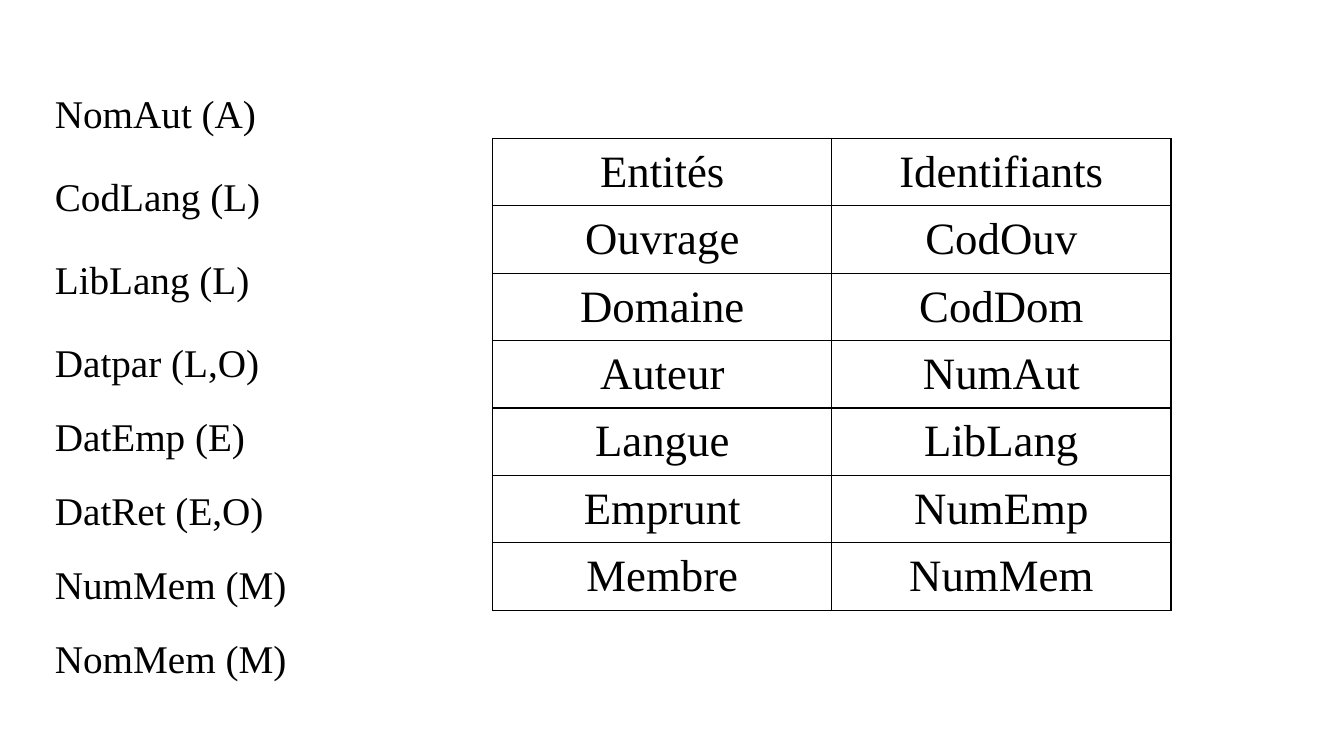
from lxml.etree import SubElement
from pptx import Presentation
from pptx.dml.color import RGBColor
from pptx.enum.text import MSO_ANCHOR, MSO_AUTO_SIZE, PP_ALIGN
from pptx.oxml.ns import qn
from pptx.util import Pt

ATTRIBUTES = [
    ("NomAut (A)", 1.77), ("CodLang (L)", 1.77),
    ("LibLang (L)", 1.77), ("Datpar (L,O)", 1.77),
    ("DatEmp (E)", 1.57), ("DatRet (E,O)", 1.57),
    ("NumMem (M)", 1.57), ("NomMem (M)", 1.57),
]
ENTITIES = [
    ("Entités", "Identifiants"),
    ("Ouvrage", "CodOuv"),
    ("Domaine", "CodDom"),
    ("Auteur", "NumAut"),
    ("Langue", "LibLang"),
    ("Emprunt", "NumEmp"),
    ("Membre", "NumMem"),
]


def color(value):
    return RGBColor.from_string(value)


class Page:
    font = "Times New Roman"
    ink = "000000"

    def __init__(self, deck):
        self.slide = deck.slides.add_slide(deck.slide_layouts[1])
        title = self.slide.shapes.title
        title.element.getparent().remove(title.element)

    def add_span(self, para, text, size):
        span = para.add_run()
        span.text = text
        span.font.name = self.font
        span.font.size = Pt(size)
        span.font.color.rgb = color(self.ink)

    def add_list(self, items, left, top, width, height, size):
        box = self.slide.placeholders[1]
        box.left, box.top = Pt(left), Pt(top)
        box.width, box.height = Pt(width), Pt(height)
        frame = box.text_frame
        frame.word_wrap = True
        frame.auto_size = MSO_AUTO_SIZE.NONE
        frame.vertical_anchor = MSO_ANCHOR.TOP
        for index, (text, spacing) in enumerate(items):
            para = frame.add_paragraph() if index else frame.paragraphs[0]
            properties = para._p.get_or_add_pPr()
            properties.set("marL", "0")
            properties.set("indent", "0")
            SubElement(properties, qn("a:buNone"))
            para.alignment = PP_ALIGN.LEFT
            para.space_before = para.space_after = Pt(0)
            para.line_spacing = spacing
            self.add_span(para, text, size)

    def add_borders(self, cell, width):
        properties = cell._tc.get_or_add_tcPr()
        for position, side in enumerate(("lnL", "lnR", "lnT", "lnB")):
            line = properties.makeelement(qn(f"a:{side}"), {"w": str(Pt(width))})
            fill = SubElement(line, qn("a:solidFill"))
            SubElement(fill, qn("a:srgbClr"), val=self.ink)
            properties.insert(position, line)

    def add_grid(self, rows, left, top, width, height, size):
        shape = self.slide.shapes.add_table(
            len(rows), len(rows[0]), Pt(left), Pt(top), Pt(width), Pt(height))
        table = shape.table
        table.first_row = table.horz_banding = False
        for row, texts in enumerate(rows):
            for column, text in enumerate(texts):
                cell = table.cell(row, column)
                cell.fill.background()
                cell.vertical_anchor = MSO_ANCHOR.MIDDLE
                para = cell.text_frame.paragraphs[0]
                para.alignment = PP_ALIGN.CENTER
                self.add_span(para, text, size)
                self.add_borders(cell, 1)


def main():
    deck = Presentation()
    deck.slide_width, deck.slide_height = Pt(960), Pt(540)
    page = Page(deck)

    # Attributes, each with the initial of its entity
    page.add_list(ATTRIBUTES, 32, 34, 899, 475, 28)

    # Entities and their identifiers
    page.add_grid(ENTITIES, 352, 98.8, 484.4, 337.2, 32)

    deck.save("out.pptx")


if __name__ == "__main__":
    main()
